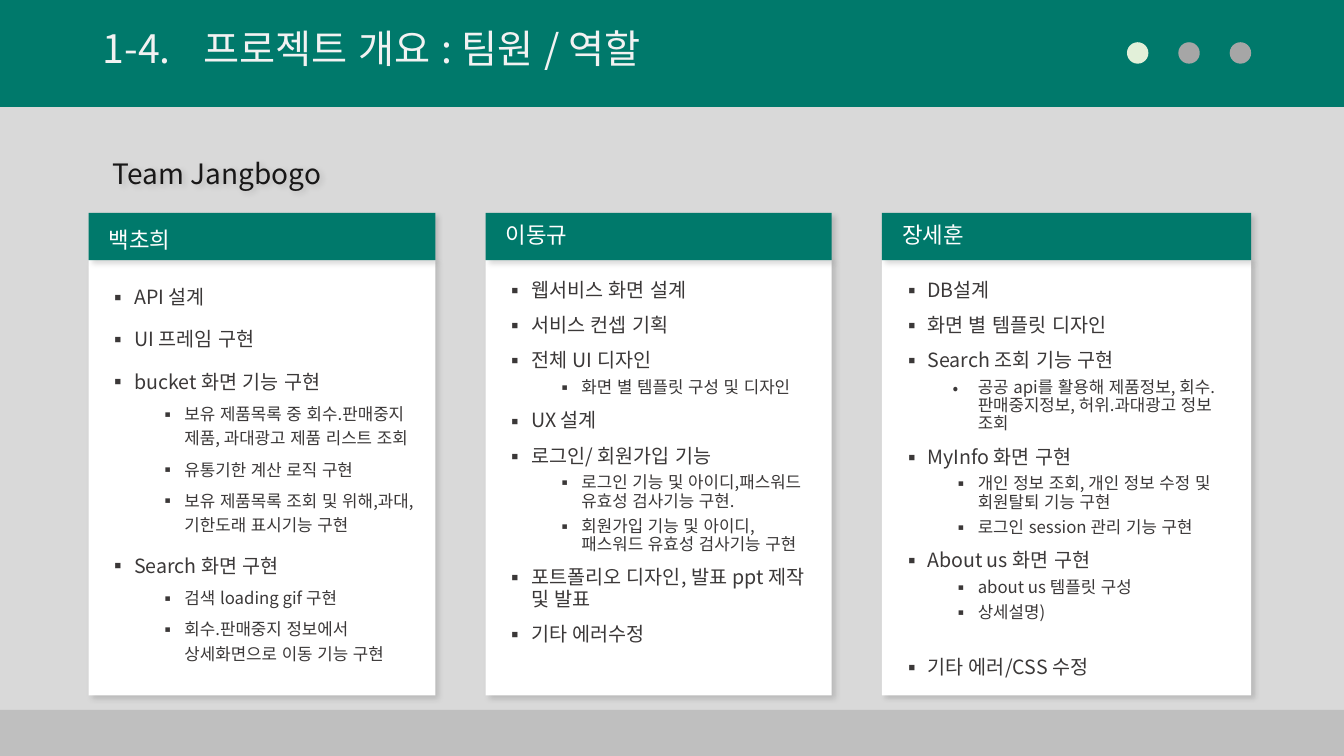
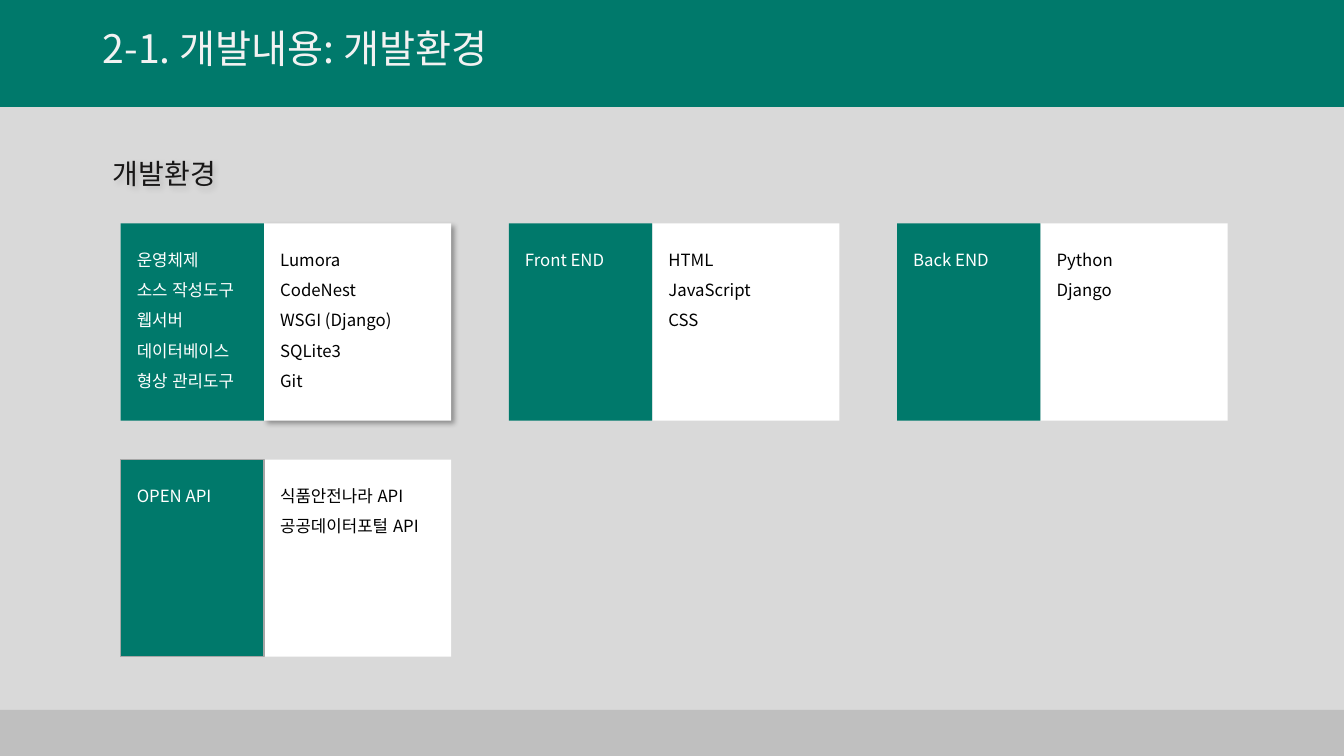
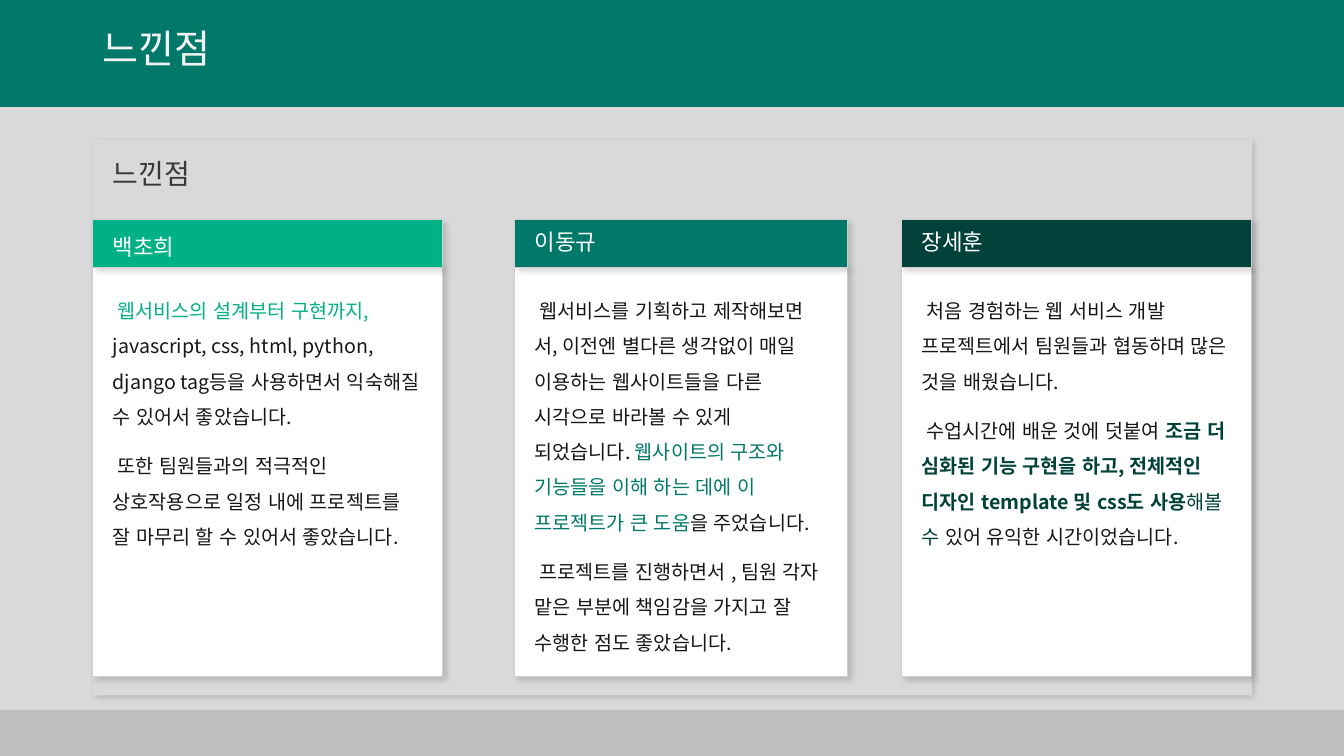
from lxml import etree
from pptx import Presentation
from pptx import util as u
from pptx.dml.color import RGBColor
from pptx.enum import lang, shapes, text
from pptx.oxml import ns

FONT = "Noto Sans CJK KR"
WHITE = RGBColor(0xFF, 0xFF, 0xFF)
BLACK = RGBColor(0x00, 0x00, 0x00)
INK = RGBColor(0x18, 0x17, 0x17)
CHARCOAL = RGBColor(0x3B, 0x38, 0x38)
TITLE = RGBColor(0xF2, 0xF2, 0xF2)
TEAL = RGBColor(0x00, 0x79, 0x6B)
MINT = RGBColor(0x00, 0xB0, 0x86)
PINE = RGBColor(0x00, 0x42, 0x3A)
PALE_GREEN = RGBColor(0xE2, 0xF0, 0xD9)
BACKGROUND = RGBColor(0xD9, 0xD9, 0xD9)
FOOTER = RGBColor(0xBF, 0xBF, 0xBF)
GREY = RGBColor(0xA6, 0xA6, 0xA6)
CARD_LINE = RGBColor(0xD0, 0xCE, 0xCE)

RECT = shapes.MSO_SHAPE.RECTANGLE
OVAL = shapes.MSO_SHAPE.OVAL
TOP = text.MSO_ANCHOR.TOP
MIDDLE = text.MSO_ANCHOR.MIDDLE
CARD_INSETS = (14.4, 14.4, 14.4, 14.4)
TITLE_INSETS = (7.2, 3.6, 7.2, 3.6)
CELL_INSETS = (11.5, 11.5, 5.8, 3.6)
shadowed = []


def add_box(parent, kind, place, fill, line=None, shadow=0):
    box = parent.shapes.add_shape(kind, *[u.Pt(value) for value in place])
    box.fill.solid()
    box.fill.fore_color.rgb = fill
    if line:
        box.line.color.rgb, box.line.width = line[0], u.Pt(line[1])
    else:
        box.line.fill.background()
    box.shadow.inherit = False
    if shadow:
        shadowed.append((box, shadow))
    return box


def write(box, spans, size, spacing, before=0, insets=CARD_INSETS, anchor=TOP,
          bullet=None, level=0, left=0, indent=0):
    frame = box.text_frame
    first = not frame.text
    if first:
        frame.word_wrap = True
        frame.auto_size = text.MSO_AUTO_SIZE.NONE
        frame.vertical_anchor = anchor
        frame.margin_left, frame.margin_top, frame.margin_right, frame.margin_bottom = [
            u.Pt(value) for value in insets]
    para = frame.paragraphs[0] if first else frame.add_paragraph()
    para.alignment = text.PP_ALIGN.LEFT
    para.level = level
    para.line_spacing = spacing
    para.space_before = u.Pt(0 if first else before)
    para.space_after = u.Pt(0)
    props = para._p.get_or_add_pPr()
    props.set("marL", str(u.Pt(left)))
    props.set("indent", str(u.Pt(indent)))
    if bullet:
        etree.SubElement(props, ns.qn("a:buFont")).set("typeface", FONT)
        etree.SubElement(props, ns.qn("a:buChar")).set("char", bullet)
    else:
        etree.SubElement(props, ns.qn("a:buNone"))
    for words, colour, bold in spans:
        span = para.add_run()
        span.text = words
        font = span.font
        font.size, font.bold, font.name = u.Pt(size), bold, FONT
        font.color.rgb = colour
        font.language_id = lang.MSO_LANGUAGE_ID.KOREAN
        etree.SubElement(span._r.get_or_add_rPr(), ns.qn("a:ea")).set("typeface", FONT)


deck = Presentation()
deck.slide_width, deck.slide_height = u.Pt(960), u.Pt(540)
master = deck.slide_master
master.background.fill.solid()
master.background.fill.fore_color.rgb = BACKGROUND
layout = deck.slide_layouts[1]
for index, place in enumerate([(66.2, 17.3, 828, 43.9), (66.2, 100, 828, 396.7)]):
    holder = layout.placeholders[index]
    holder.left, holder.top, holder.width, holder.height = [u.Pt(value) for value in place]

pages = []
for title, heading, colour in [
    ("1-4.\t프로젝트 개요 : 팀원 / 역할", "Team Jangbogo", INK),
    ("2-1. 개발내용: 개발환경", "개발환경", INK),
    ("느낀점", "느낀점", CHARCOAL),
]:
    page = deck.slides.add_slide(layout)
    write(page.shapes.title, [(title, TITLE, False)], 28, 0.9, insets=TITLE_INSETS)
    body = page.placeholders[1]
    write(body, [(heading, colour, False)], 20, 0.9)
    body.shadow.inherit = False
    shadowed.append((body, 15))
    pages.append(page)
team_page, tools_page, review_page = pages
body.fill.solid()
body.fill.fore_color.rgb = BACKGROUND

for number, (place, fill) in enumerate([((0, 0, 960, 76.3), TEAL), ((0, 507, 960, 33), FOOTER)]):
    band = add_box(team_page, RECT, place, fill)
    band.element.nvSpPr.cNvPr.set("id", str(101 + number))
    master.shapes.element.insert(2, band.element)

for number, fill in enumerate([PALE_GREEN, GREY, GREY]):
    add_box(team_page, OVAL, (805 + 36.7 * number, 30.2, 15.3, 15.3), fill)

members = [
    ("백초희", 63.4, 247.7, 1.2, [
        (0, "API 설계"),
        (0, "UI 프레임 구현"),
        (0, "bucket 화면 기능 구현"),
        (1, "보유 제품목록 중 회수.판매중지 제품, 과대광고 제품 리스트 조회"),
        (1, "유통기한 계산 로직 구현"),
        (1, "보유 제품목록 조회 및 위해,과대,기한도래 표시기능 구현"),
        (0, "Search 화면 구현"),
        (1, "검색 loading gif 구현"),
        (1, "회수.판매중지 정보에서 상세화면으로 이동 기능 구현"),
    ]),
    ("이동규", 347, 247, 0.9, [
        (0, "웹서비스 화면 설계"),
        (0, "서비스 컨셉 기획"),
        (0, "전체 UI 디자인"),
        (1, "화면 별 템플릿 구성 및 디자인"),
        (0, "UX 설계"),
        (0, "로그인/ 회원가입 기능"),
        (1, "로그인 기능 및 아이디,패스워드 유효성 검사기능 구현."),
        (1, "회원가입 기능 및 아이디, 패스워드 유효성 검사기능 구현"),
        (0, "포트폴리오 디자인, 발표 ppt 제작 및 발표"),
        (0, "기타 에러수정"),
    ]),
    ("장세훈", 630, 263.7, 0.9, [
        (0, "DB설계"),
        (0, "화면 별 템플릿 디자인"),
        (0, "Search 조회 기능 구현"),
        (1, "공공 api를 활용해 제품정보, 회수.판매중지정보, 허위.과대광고 정보 조회", "•"),
        (0, "MyInfo 화면 구현"),
        (1, "개인 정보 조회, 개인 정보 수정 및 회원탈퇴 기능 구현"),
        (1, "로그인 session 관리 기능 구현"),
        (0, "About us 화면 구현"),
        (1, "about us 템플릿 구성"),
        (1, "상세설명)"),
        (0, "기타 에러/CSS 수정", "▪", 25),
    ]),
]
for name, left, width, spacing, tasks in members:
    group = team_page.shapes.add_group_shape()
    card = add_box(group, RECT, (left, 185.8, width, 311), WHITE, shadow=15)
    for level, task, *special in tasks:
        bullet = special[0] if special else "▪"
        before = special[1] if len(special) > 1 else (10, 5)[level]
        write(card, [(task, CHARCOAL, False)], (14, 12)[level], spacing, before,
              bullet=bullet, level=level, left=(18, 54)[level], indent=-18)
    header = add_box(group, RECT, (left, 152, width, 33.8), TEAL, shadow=15)
    write(header, [(name, WHITE, False)], 16, spacing, anchor=MIDDLE)

tools = [
    (["운영체제", "소스 작성도구", "웹서버", "데이터베이스", "형상 관리도구"],
     ["Lumora", "CodeNest", "WSGI (Django)", "SQLite3", "Git"], None, 34),
    (["Front END"], ["HTML", "JavaScript", "CSS"], None, 0),
    (["Back END"], ["Python", "Django"], None, 0),
    (["OPEN API"], ["식품안전나라 API", "공공데이터포털 API"], (GREY, 1), 0),
]
for number, (labels, values, line, shadow) in enumerate(tools):
    row, column = divmod(number, 3)
    left, top = 86.2 + 277.3 * column, 159.6 + 168.7 * row
    group = tools_page.shapes.add_group_shape()
    value_box = add_box(group, RECT, (left + 102.4, top, 133.7, 140.8), WHITE, shadow=shadow)
    label_box = add_box(group, RECT, (left, top, 102.4, 140.8), TEAL, line)
    for box, lines, colour in [(value_box, values, BLACK), (label_box, labels, WHITE)]:
        for words in lines:
            write(box, [(words, colour, False)], 12, 1.5, insets=CELL_INSETS)

reviews = [
    ("백초희", 66.2, 249.8, MINT, 1.2, [
        [("웹서비스의 설계부터 구현까지, ", MINT, False),
         ("javascript, css, html, python, django tag등을 사용하면서 익숙해질 수 있어서 좋았습니다.", INK, False)],
        [("또한 팀원들과의 적극적인 상호작용으로 일정 내에 프로젝트를 잘 마무리 할 수 있어서 좋았습니다.", INK, False)],
    ]),
    ("이동규", 367.5, 237.6, TEAL, 0.9, [
        [("웹서비스를 기획하고 제작해보면서, 이전엔 별다른 생각없이 매일 이용하는 웹사이트들을 다른 시각으로 바라볼 수 있게 되었습니다. ", INK, False),
         ("웹사이트의 구조와 기능들을 이해 하는 데에 이 프로젝트가 큰 도움", TEAL, False),
         ("을 주었습니다.", INK, False)],
        [("프로젝트를 진행하면서 , 팀원 각자 맡은 부분에 책임감을 가지고 잘 수행한 점도 좋았습니다.", INK, False)],
    ]),
    ("장세훈", 643.9, 250.4, PINE, 0.9, [
        [("처음 경험하는 웹 서비스 개발 프로젝트에서 팀원들과 협동하며 많은 것을 배웠습니다.", INK, False)],
        [("수업시간에 배운 것에 덧붙여 ", INK, False),
         ("조금 더 심화된 기능 구현을 하고, 전체적인 디자인 template 및 css도 사용", PINE, True),
         ("해볼 수 ", PINE, False),
         ("있어 유익한 시간이었습니다.", INK, False)],
    ]),
]
for name, left, width, colour, spacing, paragraphs in reviews:
    group = review_page.shapes.add_group_shape()
    card = add_box(group, RECT, (left, 190.8, width, 292.3), WHITE, (CARD_LINE, 0.75), 15)
    for spans in paragraphs:
        write(card, spans, 14, 1.5, 10, indent=3.5)
    header = add_box(group, RECT, (left, 157, width, 33.8), colour, (CARD_LINE, 0.75), 15)
    write(header, [(name, WHITE, False)], 16, spacing, anchor=MIDDLE)

for box, opacity in shadowed:
    effects = box.element.spPr.find(ns.qn("a:effectLst"))
    shadow = etree.SubElement(effects, ns.qn("a:outerShdw"), blurRad=str(u.Pt(4)),
                              dist=str(u.Pt(3)), dir="2700000", algn="tl", rotWithShape="0")
    tint = etree.SubElement(shadow, ns.qn("a:srgbClr"), val=str(BLACK))
    etree.SubElement(tint, ns.qn("a:alpha"), val=str(opacity * 1000))

deck.save("out.pptx")
